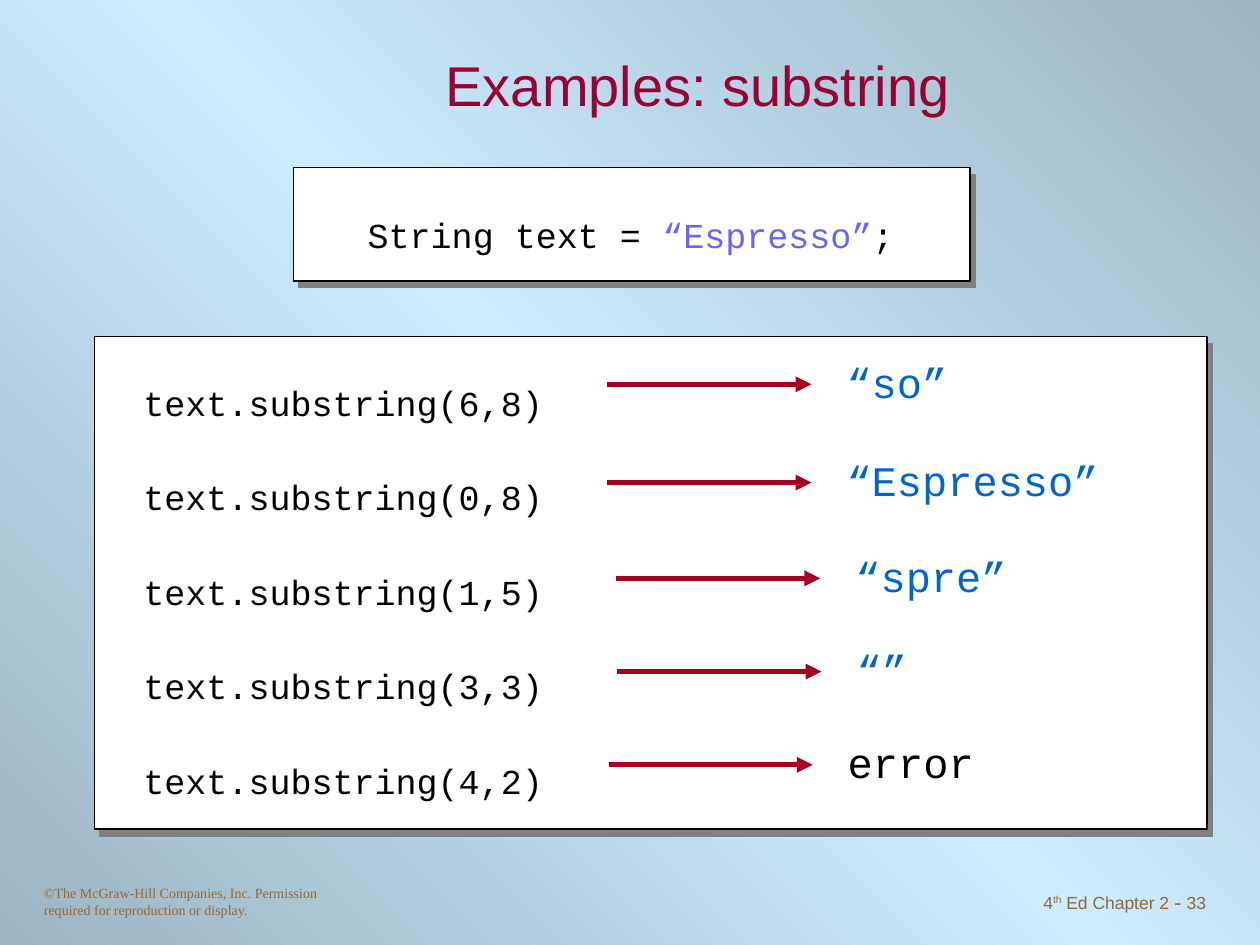
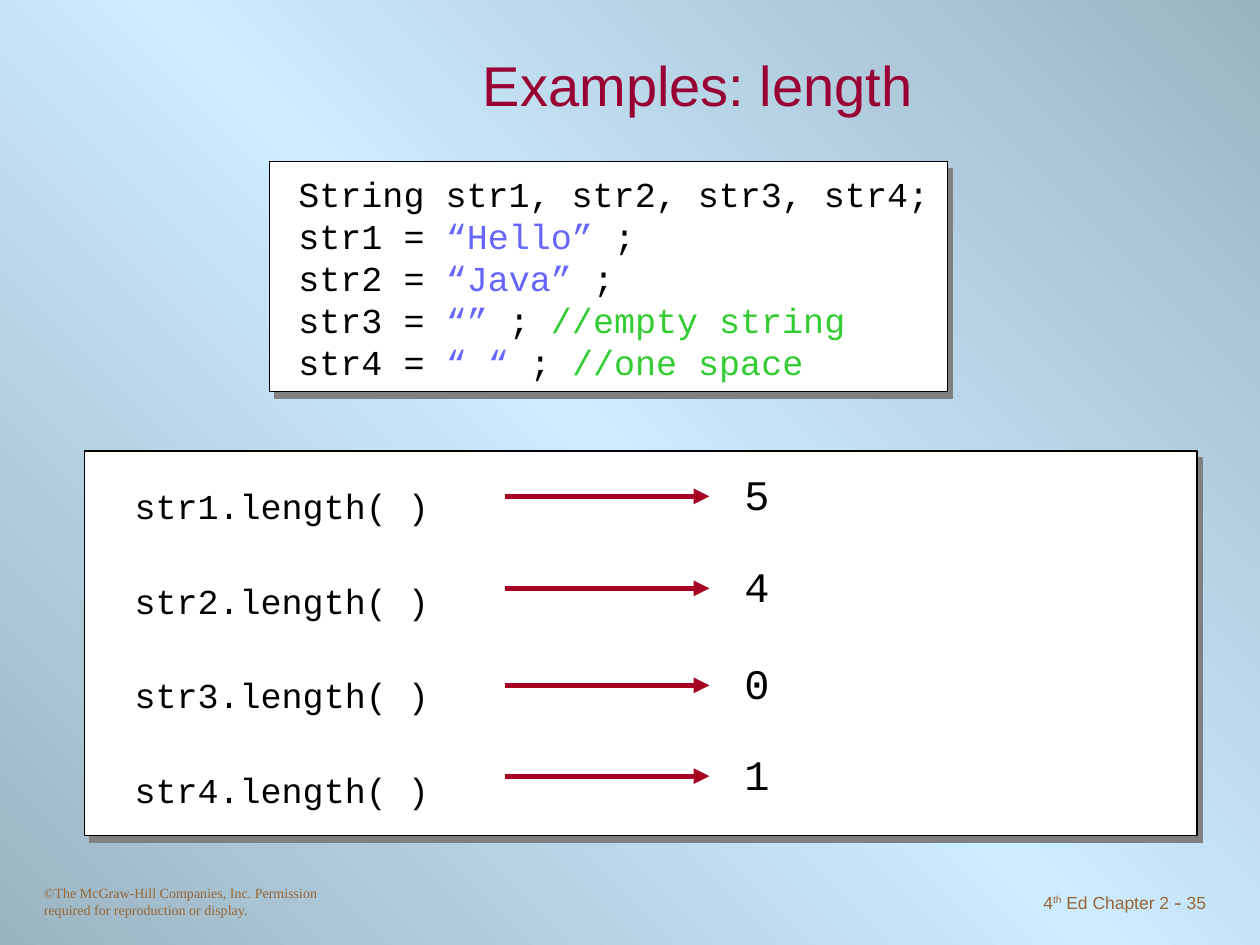
"""Build two slides of Java string examples."""
from copy import deepcopy
from typing import NamedTuple

from lxml import etree
from pptx import Presentation
from pptx.dml.color import RGBColor
from pptx.enum.shapes import MSO_CONNECTOR, MSO_SHAPE
from pptx.enum.text import MSO_ANCHOR, MSO_AUTO_SIZE, PP_ALIGN
from pptx.oxml.ns import qn
from pptx.util import Inches, Pt

RECT = MSO_SHAPE.RECTANGLE
STRAIGHT = MSO_CONNECTOR.STRAIGHT
LEFT, CENTER, RIGHT = PP_ALIGN.LEFT, PP_ALIGN.CENTER, PP_ALIGN.RIGHT
MIDDLE = MSO_ANCHOR.MIDDLE
NO_FIT, GROW = MSO_AUTO_SIZE.NONE, MSO_AUTO_SIZE.SHAPE_TO_FIT_TEXT

SANS, MONO, SERIF = "Arial", "Courier New", "Times New Roman"
BLACK, WHITE, GRAY = "000000", "FFFFFF", "808080"
EDGE, MIDTONE = "9BB4C2", "CCECFF"
TITLE_RED, ARROW_RED, BROWN = "990033", "A50021", "996633"
LITERAL, COMMENT, ANSWER = "6666FF", "33CC33", "0066CC"

ARROW_LENGTH = 1.62
RESULT_DX, RESULT_DY = 1.8, -0.27


class Box(NamedTuple):
    """Left, top, width and height in inches."""
    x: float
    y: float
    w: float
    h: float


class Run(NamedTuple):
    """A stretch of text in one style."""
    text: str
    color: str = BLACK
    size: float = 20
    font: str = MONO
    baseline: int = 0


class Result(NamedTuple):
    """A value and the start of the arrow that points to it."""
    x: float
    y: float
    text: str
    width: float
    color: str = BLACK


class Example(NamedTuple):
    """Everything that varies from one example slide to the next."""
    title: str
    number: int
    code_panel: Box
    code_box: Box
    code: list[list[Run]]
    code_spacing: float
    calls_panel: Box
    calls_box: Box
    calls: list[str]
    results: list[Result]


def rgb(color: str) -> RGBColor:
    """Turn a hex string into a colour."""
    return RGBColor.from_string(color)


def inches(box: Box) -> list[int]:
    """Convert a box to slide lengths."""
    return [Inches(v) for v in box]


def add_run(p, run: Run) -> None:
    """Append one styled run to a paragraph."""
    r = p.add_run()
    r.text = run.text
    r.font.name, r.font.size = run.font, Pt(run.size)
    r.font.color.rgb = rgb(run.color)
    if run.baseline:
        r.font._element.set("baseline", str(run.baseline * 1000))


def fill_text(tf, lines: list[list[Run]], align=LEFT, spacing: float = 1) -> None:
    """Write lines of runs into a text frame."""
    for i, runs in enumerate(lines):
        p = tf.add_paragraph() if i else tf.paragraphs[0]
        p.alignment, p.line_spacing = align, spacing
        for run in runs:
            add_run(p, run)


def add_text(s, box: Box, lines: list[list[Run]], align=LEFT,
             spacing: float = 1, wrap: bool = False) -> None:
    """Add a text box."""
    tf = s.shapes.add_textbox(*inches(box)).text_frame
    tf.word_wrap = wrap
    tf.auto_size = NO_FIT if wrap else GROW
    fill_text(tf, lines, align, spacing)


def add_panel(s, box: Box) -> None:
    """Add a white panel with a hard grey shadow."""
    sp = s.shapes.add_shape(RECT, *inches(box))
    sp.fill.solid()
    sp.fill.fore_color.rgb = rgb(WHITE)
    sp.line.color.rgb = rgb(BLACK)
    sp.line.width = Pt(0.75)
    sp.shadow.inherit = False
    effects = sp._element.spPr.find(qn("a:effectLst"))
    shadow = etree.SubElement(effects, qn("a:outerShdw"), blurRad="0",
                              dist=str(Pt(5)), dir=str(53 * 60000),
                              algn="ctr", rotWithShape="0")
    etree.SubElement(shadow, qn("a:srgbClr"), val=GRAY)


def add_result(s, result: Result) -> None:
    """Add an arrow and the value it points to."""
    x, y = result.x, result.y
    arrow = s.shapes.add_connector(STRAIGHT, Inches(x), Inches(y),
                                   Inches(x + ARROW_LENGTH), Inches(y))
    arrow.line.color.rgb = rgb(ARROW_RED)
    arrow.line.width = Pt(3)
    etree.SubElement(arrow.line._get_or_add_ln(), qn("a:tailEnd"), type="triangle")
    etree.SubElement(arrow._element.spPr, qn("a:effectLst"))
    add_text(s, Box(x + RESULT_DX, y + RESULT_DY, result.width, 0.5),
             [[Run(result.text, result.color, 24)]])


def add_title(s, title: str) -> None:
    """Place and style the title."""
    sp = s.shapes.title
    sp.left, sp.top, sp.width, sp.height = inches(Box(1.5, 0.25, 8.08, 0.83))
    tf = sp.text_frame
    tf.vertical_anchor, tf.auto_size = MIDDLE, NO_FIT
    fill_text(tf, [[Run(title, TITLE_RED, 32, SANS)]], CENTER)


def add_footers(s, number: int) -> None:
    """Add the copyright line and the chapter page number."""
    add_text(s, Box(0.25, 6.97, 2.5, 0.37),
             [[Run("©The McGraw-Hill Companies, Inc. Permission required "
                   "for reproduction or display.", BROWN, 8, SERIF)]], wrap=True)
    add_text(s, Box(7.5, 7, 2.17, 0.34),
             [[Run("4", BROWN, 10, SANS), Run("th", BROWN, 10, SANS, 30),
               Run(" Ed Chapter 2", BROWN, 10, SANS),
               Run(" - ", BROWN, 12, SERIF),
               Run(str(number), BROWN, 10, SANS)]], RIGHT, wrap=True)


def set_background(master) -> None:
    """Give the master a diagonal three-stop gradient."""
    fill = master.background.fill
    fill.gradient()
    fill.gradient_angle = 45
    for stop, color, position in zip(fill.gradient_stops, (EDGE, MIDTONE), (0, 0.5)):
        stop.color.rgb = rgb(color)
        stop.position = position
    stops = next(master.element.iter(qn("a:gsLst")))
    last = deepcopy(stops[0])
    last.set("pos", "100000")
    stops.append(last)


def add_example(prs, example: Example) -> None:
    """Add one example slide."""
    s = prs.slides.add_slide(prs.slide_layouts.get_by_name("Title Only"))
    add_title(s, example.title)
    add_footers(s, example.number)
    add_panel(s, example.code_panel)
    add_text(s, example.code_box, example.code, spacing=example.code_spacing)
    add_panel(s, example.calls_panel)
    add_text(s, example.calls_box, [[Run(call)] for call in example.calls],
             spacing=2.25)
    for result in example.results:
        add_result(s, result)


def assignment(name: str, literal: str, ending: str, comment: str = "") -> list[Run]:
    """Colour the parts of an assignment statement."""
    runs = [Run(f"{name} = "), Run(literal, LITERAL), Run(ending)]
    return runs + [Run(comment, COMMENT)] if comment else runs


EXAMPLES = [
    Example(
        "Examples: substring", 33,
        Box(2.33, 1.33, 5.37, 0.9), Box(2.82, 1.48, 4.5, 0.6),
        [assignment("String text", "“Espresso”", ";")], 1.5,
        Box(0.75, 2.67, 8.83, 3.91), Box(1.04, 2.56, 3.4, 3.85),
        [f"text.substring({span})" for span in ("6,8", "0,8", "1,5", "3,3", "4,2")],
        [Result(4.82, 3.05, "“so”", 1.05, ANSWER),
         Result(4.82, 3.83, "“Espresso”", 2.25, ANSWER),
         Result(4.89, 4.59, "“spre”", 1.45, ANSWER),
         Result(4.9, 5.33, "“”", 0.65, ANSWER),
         Result(4.83, 6.07, "error", 1.4)],
    ),
    Example(
        "Examples: length", 35,
        Box(2.14, 1.28, 5.38, 1.83), Box(2.27, 1.32, 5.25, 1.77),
        [[Run("String str1, str2, str3, str4;")],
         assignment("str1", "“Hello”", " ;"),
         assignment("str2", "“Java”", " ;"),
         assignment("str3", "“”", " ; ", "//empty string"),
         assignment("str4", "“ “", " ; ", "//one space")], 1,
        Box(0.67, 3.58, 8.83, 3.05), Box(0.97, 3.38, 2.6, 3.1),
        [f"str{i}.length( )" for i in range(1, 5)],
        [Result(4.01, y, text, 0.6)
         for y, text in ((3.94, "5"), (4.67, "4"), (5.44, "0"), (6.16, "1"))],
    ),
]


def main() -> None:
    """Build and save the presentation."""
    prs = Presentation()
    prs.slide_width, prs.slide_height = Inches(10), Inches(7.5)
    set_background(prs.slide_master)
    for example in EXAMPLES:
        add_example(prs, example)
    prs.save("out.pptx")


if __name__ == "__main__":
    main()
